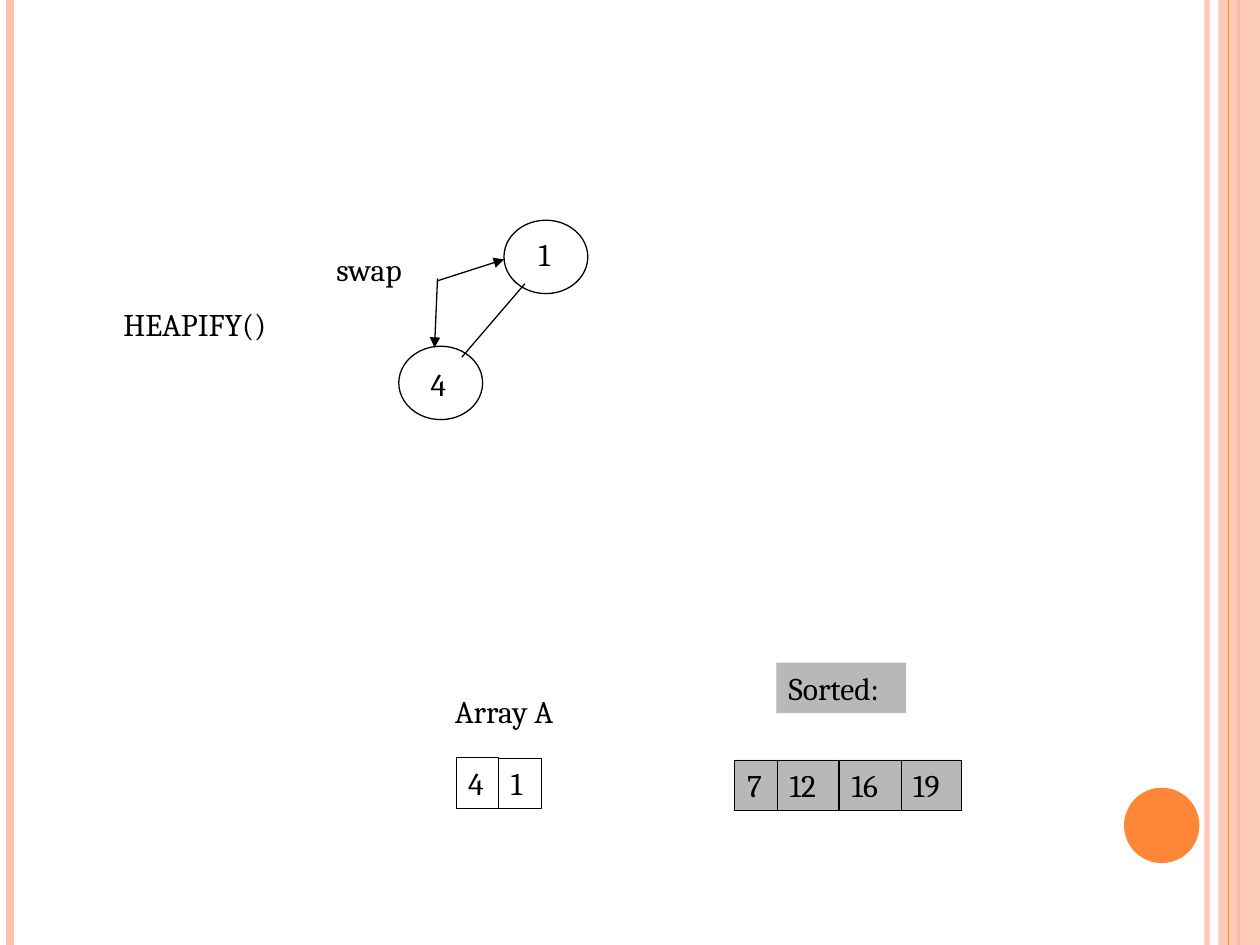
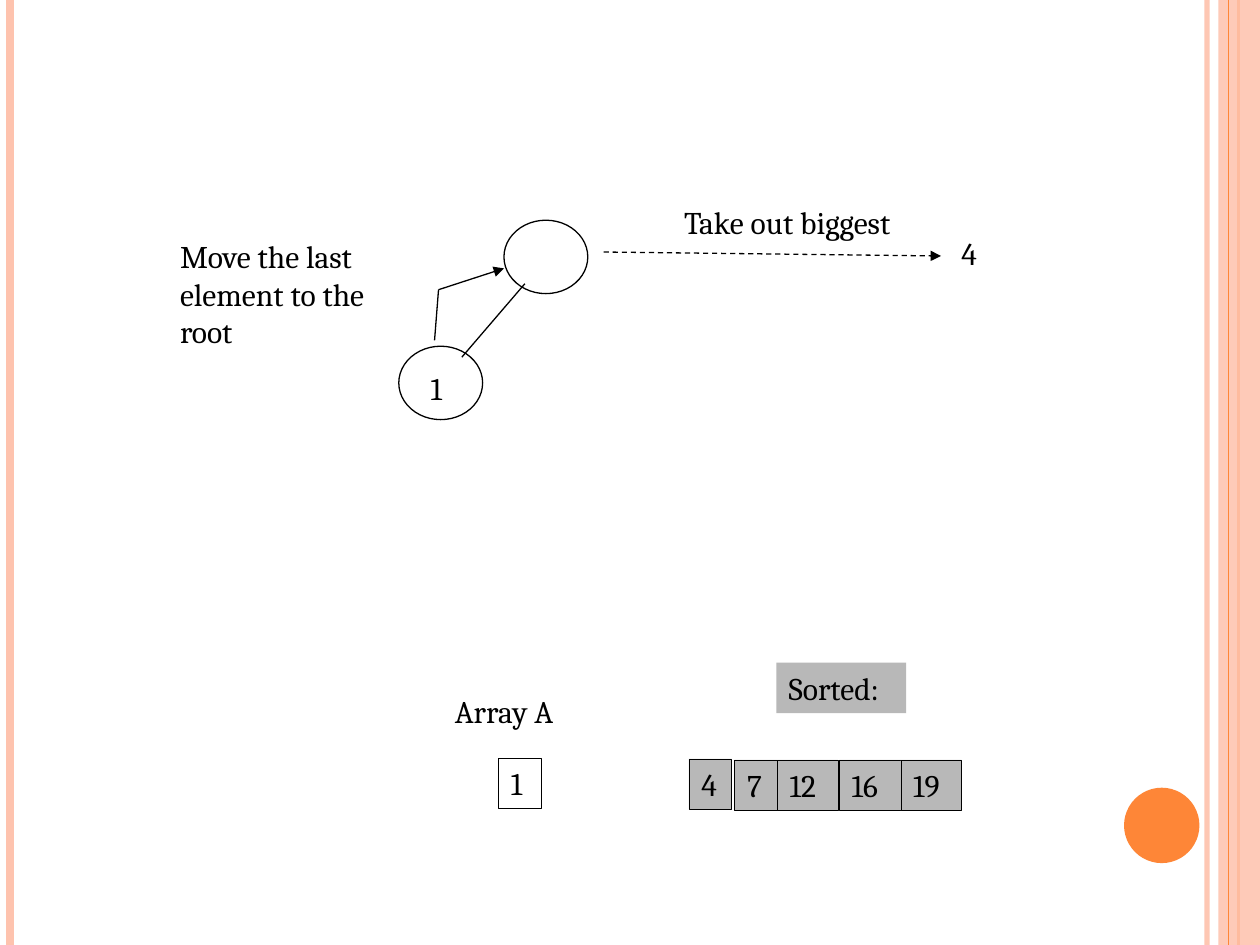
from lxml import etree
from pptx import Presentation
from pptx import util as u
from pptx.dml.color import RGBColor
from pptx.enum import dml, shapes, text
from pptx.oxml.ns import qn

HUES = {"ink": "000000", "gray": "B8B8B8", "peach": "FEC3AE", "orange": "FE8637"}
FONT = "Cambria"
RECT, OVAL = shapes.MSO_SHAPE.RECTANGLE, shapes.MSO_SHAPE.OVAL
WIDE, HIGH = 25.4, 19.05
ROW = 1.02  # height of one line of text with its margins


def put(page, words, x, y, w, h=ROW, form=RECT, fill=None, edge=None, size=18):
    """Place a shape with left-aligned text; edge is the outline width."""
    box = page.shapes.add_shape(form, u.Cm(x), u.Cm(y), u.Cm(w), u.Cm(h))
    box.shadow.inherit = False
    if fill:
        box.fill.solid()
        box.fill.fore_color.rgb = RGBColor.from_string(HUES[fill])
    else:
        box.fill.background()
    if edge:
        box.line.color.rgb = RGBColor.from_string(HUES["ink"])
        box.line.width = u.Pt(edge)
    else:
        box.line.fill.background()
    if words:
        frame = box.text_frame
        frame.text = words
        frame.word_wrap = False
        frame.auto_size = text.MSO_AUTO_SIZE.SHAPE_TO_FIT_TEXT
        frame.vertical_anchor = text.MSO_ANCHOR.TOP
        for para in frame.paragraphs:
            para.alignment = text.PP_ALIGN.LEFT
            para.font.size = u.Pt(size)
            para.font.name = FONT
            para.font.color.rgb = RGBColor.from_string(HUES["ink"])
    return box


def draw(page, start, end, hue="ink", wide=0.75, head=False, dash=False):
    """Draw a straight line, with an arrowhead at its end if wanted."""
    ends = [u.Cm(n) for n in (*start, *end)]
    wire = page.shapes.add_connector(shapes.MSO_CONNECTOR.STRAIGHT, *ends)
    wire.line.color.rgb = RGBColor.from_string(HUES[hue])
    wire.line.width = u.Pt(wide)
    if dash:
        wire.line.dash_style = dml.MSO_LINE.DASH
    if head:
        etree.SubElement(wire.line._get_or_add_ln(), qn("a:tailEnd"), type="triangle")
    etree.SubElement(wire.element.spPr, qn("a:effectLst"))
    return wire


deck = Presentation()
deck.slide_width, deck.slide_height = u.Cm(WIDE), u.Cm(HIGH)
plain = deck.slide_layouts[6]
for spare in list(plain.placeholders):
    spare.element.getparent().remove(spare.element)
swap, move = [deck.slides.add_slide(plain) for _ in range(2)]

# Side bands and disc, moved into the shared layout
trim = []
for x, hue, wide in ((24.33, "peach", 3), (0.2, "peach", 4.5), (24.97, "orange", 1.5)):
    trim.append(draw(swap, (x, 0), (x, HIGH), hue=hue, wide=wide))
band = put(swap, "", 24.56, 0, 0.84, HIGH, fill="peach")
trim += [band, draw(swap, (24.77, 0), (24.77, HIGH), hue="orange")]
trim.append(put(swap, "", 22.66, 15.88, 1.52, 1.52, form=OVAL, fill="orange"))
for part, clear in ((trim[0], 93), (band, 87)):
    tint = next(part.element.iter(qn("a:srgbClr")))
    etree.SubElement(tint, qn("a:alpha"), val=str(clear * 1000))
for part in trim:
    plain.shapes.element.append(part.element)

# Heap nodes, captions and array cells on both slides
cells = {"7": (14.81, 0.86), "12": (15.67, 1.22), "16": (16.92, 1.24), "19": (18.16, 1.22)}
for page in (swap, move):
    for x, y in ((10.16, 4.44), (8.04, 6.98)):
        put(page, "", x, y, 1.69, 1.48, form=OVAL, edge=0.75)
    draw(page, (10.58, 5.72), (9.31, 7.2))
    put(page, "Array A", 8.92, 13.82, 2.84)
    put(page, "Sorted:", 15.65, 13.36, 2.62, fill="gray")
    put(page, "1", 10.05, 15.28, 0.86, edge=0.25)
    for num, (x, w) in cells.items():
        put(page, num, x, 15.32, w, fill="gray", edge=0.25)

# Slide 1: swap the root with its child
for num, x, y in (("4", 8.43, 7.24), ("1", 10.61, 4.62)):
    put(swap, num, x, y, 0.86)
put(swap, "4", 9.19, 15.27, 0.86, edge=0.25)
put(swap, "HEAPIFY()", 2.24, 6.02, 3.91)
put(swap, "swap", 6.53, 4.92, 2.01)
draw(swap, (8.82, 5.61), (8.76, 7.01), head=True)
draw(swap, (8.82, 5.66), (10.16, 5.23), head=True)

# Slide 2: take out the root and move the last element up
for num, x, y in (("4", 19.13, 4.6), ("1", 8.43, 7.32)):
    put(move, num, x, y, 0.86)
put(move, "4", 13.89, 15.3, 0.86, fill="gray", edge=0.25)
put(move, "Take out biggest", 13.54, 3.97, 5.36)
put(move, "Move the last\nelement to the\nroot", 3.38, 4.65, 4.9, 2.54)
draw(move, (12.17, 5.08), (18.97, 5.16), head=True, dash=True)
draw(move, (8.76, 6.86), (8.84, 5.84))
draw(move, (8.84, 5.84), (10.16, 5.41), head=True)

deck.save("out.pptx")
